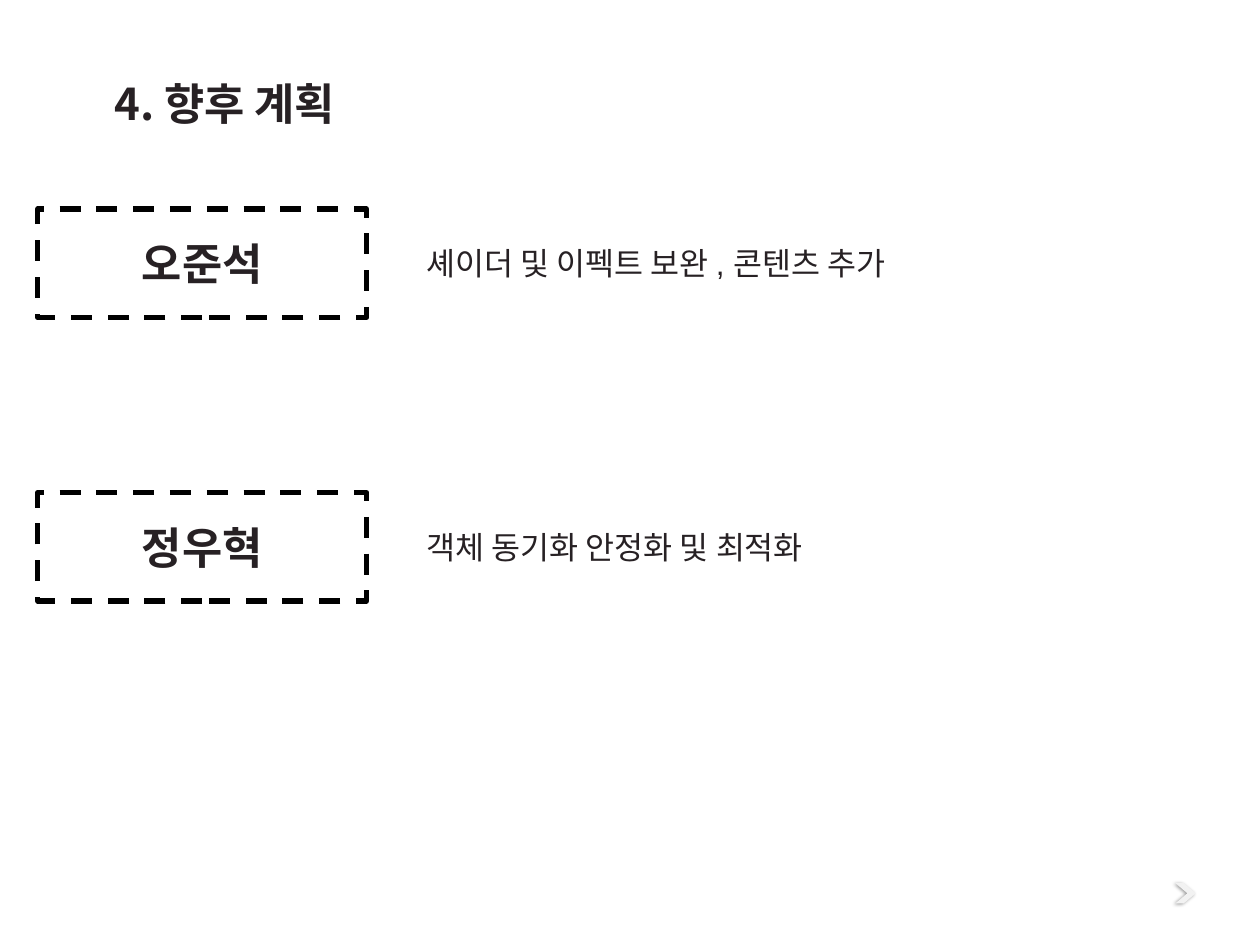
from lxml.etree import SubElement
from pptx import Presentation
from pptx.dml.color import RGBColor
from pptx.enum.dml import MSO_LINE
from pptx.enum.shapes import MSO_SHAPE
from pptx.enum.text import MSO_ANCHOR, MSO_AUTO_SIZE, PP_ALIGN
from pptx.oxml import parse_xml
from pptx.oxml.ns import nsdecls, qn
from pptx.util import Inches, Pt

INK = RGBColor(0x27, 0x21, 0x24)
BLACK = RGBColor(0x00, 0x00, 0x00)
WHITE = RGBColor(0xFF, 0xFF, 0xFF)
PALE = RGBColor(0xF2, 0xF2, 0xF2)
KOREAN = "Noto Sans CJK KR"


def write(tf, text, size, font, bold=False):
    p = tf.paragraphs[0]
    p.text = text
    r = p.runs[0]
    r.font.size = Pt(size)
    r.font.bold = bold
    r.font.color.rgb = INK
    r.font.name = font
    SubElement(r.font._element, qn("a:ea")).set("typeface", KOREAN)


def add_text(left, top, width, height, text, size, font, bold=False, wrap=True):
    tb = s.shapes.add_textbox(Inches(left), Inches(top), Inches(width), Inches(height))
    tf = tb.text_frame
    tf.word_wrap = wrap
    tf.auto_size = MSO_AUTO_SIZE.SHAPE_TO_FIT_TEXT
    write(tf, text, size, font, bold)


prs = Presentation()
prs.slide_width = Inches(10)
prs.slide_height = Inches(7.5)
s = prs.slides.add_slide(prs.slide_layouts[6])
s.background.fill.solid()
s.background.fill.fore_color.rgb = WHITE

chevron = s.shapes.add_shape(
    MSO_SHAPE.CHEVRON, Inches(9.33), Inches(7.01), Inches(0.16), Inches(0.16))
chevron.adjustments[0] = 0.59
chevron.fill.solid()
chevron.fill.fore_color.rgb = PALE
chevron.line.fill.background()
chevron._element.spPr.append(parse_xml(
    f'<a:effectLst {nsdecls("a")}>'
    f'<a:outerShdw blurRad="{Pt(2)}" dist="{Pt(1)}" dir="{135 * 60000}" algn="ctr" rotWithShape="0">'
    '<a:srgbClr val="000000"><a:alpha val="40000"/></a:srgbClr>'
    '</a:outerShdw></a:effectLst>'))

add_text(0.81, 0.56, 2.14, 0.52, "4. 향후 계획", 25, KOREAN, bold=True, wrap=False)

plans = [
    (1.66, "오준석", "셰이더 및 이펙트 보완 , 콘텐츠 추가", 4.46),
    (3.91, "정우혁", "객체 동기화 안정화 및 최적화", 6.71),
]
for top, name, plan, width in plans:
    sp = s.shapes.add_shape(
        MSO_SHAPE.RECTANGLE, Inches(0.3), Inches(top), Inches(2.61), Inches(0.86))
    sp.shadow.inherit = False
    sp.fill.solid()
    sp.fill.fore_color.rgb = WHITE
    sp.line.color.rgb = BLACK
    sp.line.width = Pt(3)
    sp.line.dash_style = MSO_LINE.DASH
    tf = sp.text_frame
    tf.vertical_anchor = MSO_ANCHOR.MIDDLE
    write(tf, name, 25, "Arial", bold=True)
    tf.paragraphs[0].alignment = PP_ALIGN.CENTER
    add_text(3.29, top + 0.23, width, 0.4, plan, 18, "Arial")

prs.save("out.pptx")
